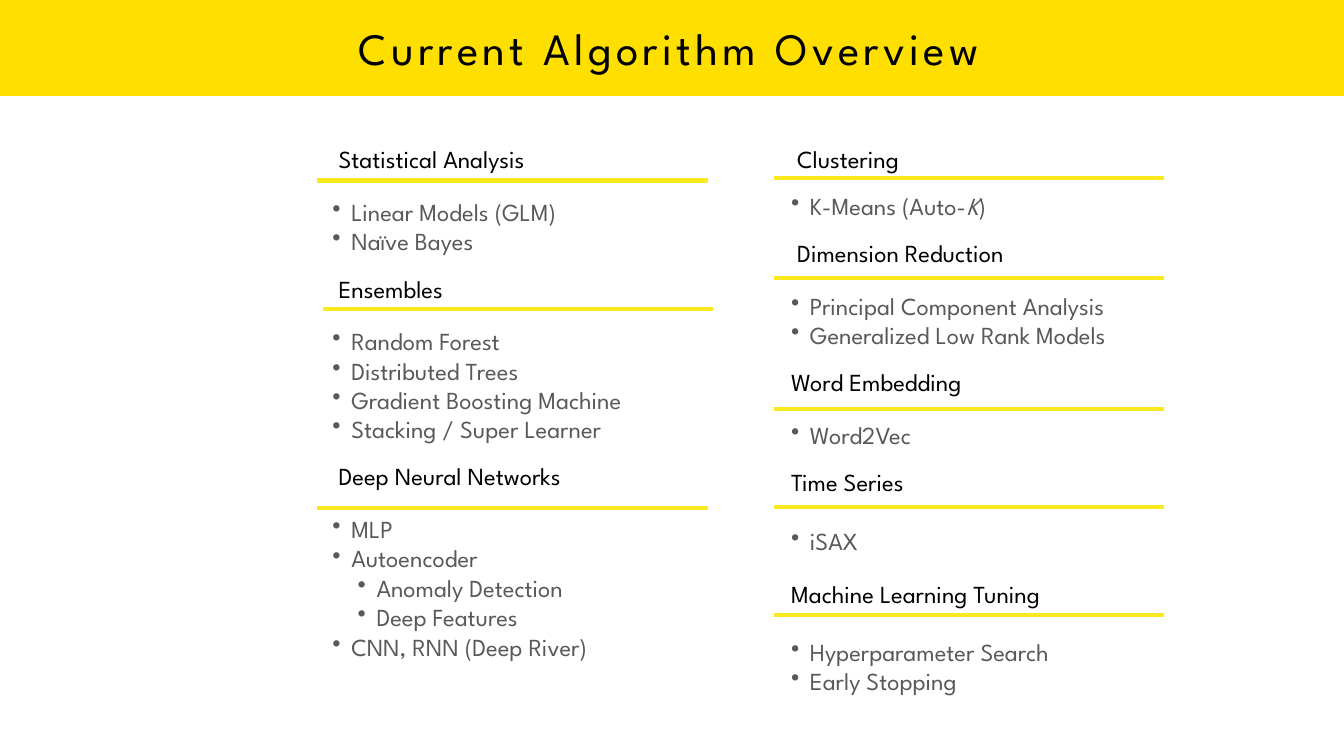
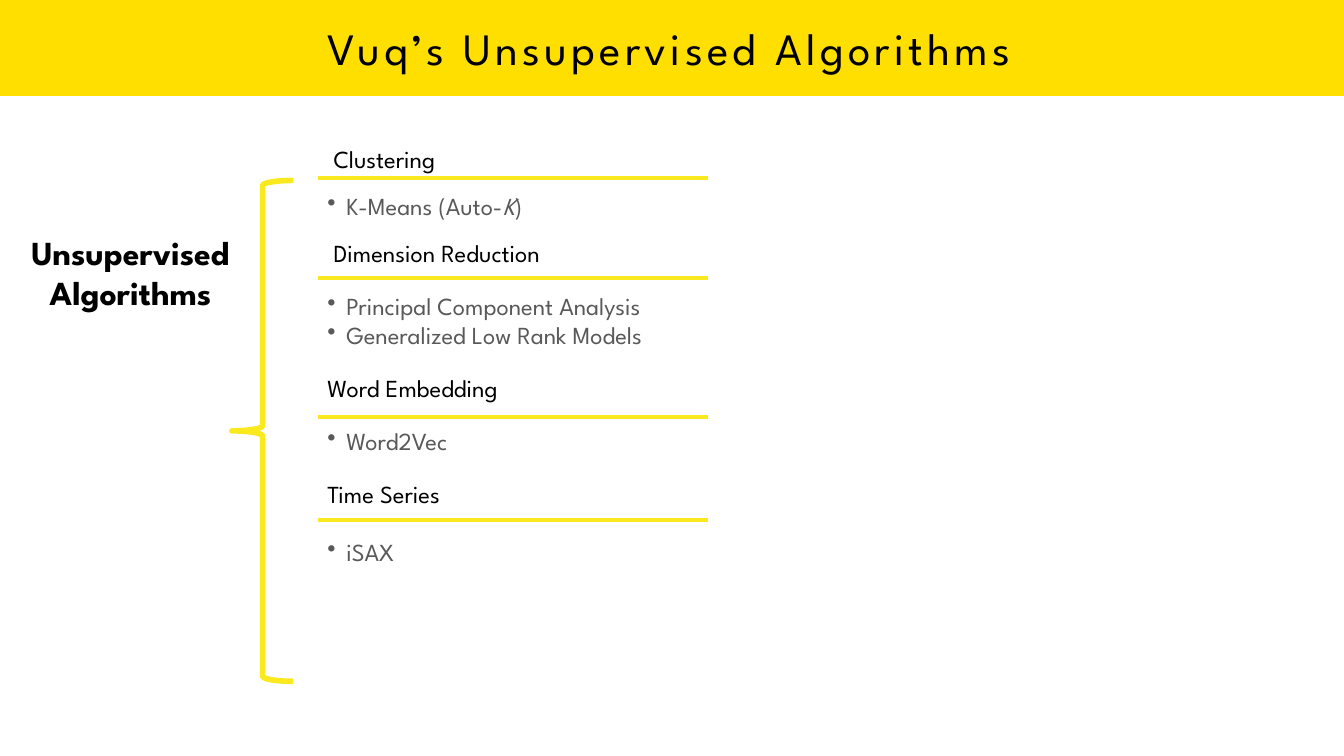
from typing import NamedTuple

from lxml import etree
from pptx import Presentation
from pptx.dml.color import RGBColor
from pptx.enum.shapes import MSO_CONNECTOR, MSO_SHAPE
from pptx.enum.text import MSO_ANCHOR, PP_ALIGN
from pptx.oxml.ns import qn
from pptx.util import Pt

RECTANGLE = MSO_SHAPE.RECTANGLE
LEFT_BRACE = MSO_SHAPE.LEFT_BRACE
STRAIGHT = MSO_CONNECTOR.STRAIGHT
MIDDLE = MSO_ANCHOR.MIDDLE
CENTER = PP_ALIGN.CENTER

FONT = "League Spartan"
BAND_YELLOW = "FFDF00"
RULE_YELLOW = "FBE91F"
BLACK = "000000"
GRAY = "595959"

SLIDE_WIDTH, SLIDE_HEIGHT = 960, 540
COLUMN_TOP, COLUMN_HEIGHT = 103.7, 459.4
RULE_WIDTH = 278.8
BODY_SIZE = 17.5
TIGHT = 0.8
WIDE_GAP = 20.9
GAP = 16.75
BULLET_INDENT = 13.5
LEVEL_STEP = 18
HEADING_INDENT = 4.4


class Item(NamedTuple):
    text: str
    level: int = 0
    spacing: float = 1.0


class Section(NamedTuple):
    heading: str
    rule_offset: float
    items: list
    before: float = GAP
    after: float = GAP
    indent: float = 0
    rule_shift: float = 0


STATISTICS = Section(
    "Statistical Analysis", 25.2,
    [Item("Linear Models (GLM)"), Item("Naïve Bayes")],
    before=0, indent=HEADING_INDENT)
ENSEMBLES = Section(
    "Ensembles", 116.8,
    [Item("Random Forest"), Item("Distributed Trees"),
     Item("Gradient Boosting Machine"), Item("Stacking / Super Learner")],
    indent=HEADING_INDENT, rule_shift=4)
NETWORKS = Section(
    "Deep Neural Networks", 259.2,
    [Item("MLP"), Item("Autoencoder"), Item("Anomaly Detection", 1),
     Item("Deep Features", 1), Item("CNN, RNN (Deep River)")],
    indent=HEADING_INDENT)
CLUSTERING = Section(
    "Clustering", 23.7, [Item("K-Means (Auto-*K*)", spacing=TIGHT)],
    before=0, indent=HEADING_INDENT)
REDUCTION = Section(
    "Dimension Reduction", 95,
    [Item("Principal Component Analysis"), Item("Generalized Low Rank Models")],
    indent=HEADING_INDENT)
EMBEDDING = Section("Word Embedding", 188.6, [Item("Word2Vec")])
TIME_SERIES = Section("Time Series", 258.5, [Item("iSAX")], after=WIDE_GAP)
TUNING = Section(
    "Machine Learning Tuning", 335.5,
    [Item("Hyperparameter Search"), Item("Early Stopping")],
    before=WIDE_GAP, after=WIDE_GAP)


def color(hex_string):
    return RGBColor.from_string(hex_string)


def style_font(paragraph, size, hex_string, bold=False):
    font = paragraph.font
    font.name, font.size, font.bold = FONT, Pt(size), bold
    font.color.rgb = color(hex_string)


def add_text_frame(slide, left, top, width, height):
    shape = slide.shapes.add_textbox(Pt(left), Pt(top), Pt(width), Pt(height))
    shape.text_frame.word_wrap = True
    return shape.text_frame


def add_paragraphs(frame, count):
    return [frame.paragraphs[0]] + [frame.add_paragraph() for _ in range(count - 1)]


def add_bullet(paragraph, level):
    properties = paragraph._p.get_or_add_pPr()
    properties.set("marL", str(Pt(BULLET_INDENT + level * LEVEL_STEP)))
    properties.set("indent", str(-Pt(BULLET_INDENT)))
    bullet_color = etree.SubElement(properties, qn("a:buClr"))
    etree.SubElement(bullet_color, qn("a:srgbClr"), val=GRAY)
    etree.SubElement(properties, qn("a:buChar"), char="•")


def write_heading(paragraph, section):
    paragraph.text = section.heading
    paragraph.line_spacing = TIGHT
    paragraph.space_before = Pt(section.before)
    paragraph.space_after = Pt(section.after)
    paragraph._p.get_or_add_pPr().set("marL", str(Pt(section.indent)))
    style_font(paragraph, BODY_SIZE, BLACK)


def write_item(paragraph, item):
    paragraph.level = item.level
    paragraph.line_spacing = item.spacing
    add_bullet(paragraph, item.level)
    style_font(paragraph, BODY_SIZE, GRAY)
    for index, part in enumerate(item.text.split("*")):
        run = paragraph.add_run()
        run.text = part
        if index % 2:
            run.font.italic = True


def add_rule(slide, left, top):
    rule = slide.shapes.add_connector(
        STRAIGHT, Pt(left), Pt(top), Pt(left + RULE_WIDTH), Pt(top))
    rule.line.color.rgb = color(RULE_YELLOW)
    rule.line.width = Pt(3)
    etree.SubElement(rule._element.spPr, qn("a:effectLst"))


def add_column(slide, left, width, rule_left, sections):
    frame = add_text_frame(slide, left, COLUMN_TOP, width, COLUMN_HEIGHT)
    paragraphs = iter(add_paragraphs(
        frame, sum(1 + len(section.items) for section in sections)))
    for section in sections:
        write_heading(next(paragraphs), section)
        for item in section.items:
            write_item(next(paragraphs), item)
        add_rule(slide, rule_left + section.rule_shift,
                 COLUMN_TOP + section.rule_offset)


def add_titled_slide(presentation, title):
    slide = presentation.slides.add_slide(presentation.slide_layouts[6])
    band = slide.shapes.add_shape(RECTANGLE, 0, 0, Pt(SLIDE_WIDTH), Pt(68.5))
    band.shadow.inherit = False
    band.fill.solid()
    band.fill.fore_color.rgb = color(BAND_YELLOW)
    band.line.fill.background()
    frame = add_text_frame(slide, 21.6, -0.7, 913, 69)
    frame.vertical_anchor = MIDDLE
    paragraph = frame.paragraphs[0]
    paragraph.text = title
    paragraph.alignment = CENTER
    style_font(paragraph, 32, BLACK)
    paragraph.runs[0]._r.get_or_add_rPr().set("spc", "300")
    return slide


def add_brace(slide, left, top, width, height):
    brace = slide.shapes.add_shape(
        LEFT_BRACE, Pt(left), Pt(top), Pt(width), Pt(height))
    brace.shadow.inherit = False
    brace.fill.background()
    brace.line.color.rgb = color(RULE_YELLOW)
    brace.line.width = Pt(4)


def add_group_label(slide, left, top, width, height, lines):
    frame = add_text_frame(slide, left, top, width, height)
    frame.vertical_anchor = MIDDLE
    frame.margin_left = frame.margin_right = Pt(2)
    frame.margin_top = frame.margin_bottom = Pt(2)
    for paragraph, line in zip(add_paragraphs(frame, len(lines)), lines):
        paragraph.text = line
        paragraph.alignment = CENTER
        style_font(paragraph, 24, BLACK, bold=True)


def build_overview(presentation):
    slide = add_titled_slide(presentation, "Current Algorithm Overview")
    add_column(slide, 230.4, 296, 226.6, [STATISTICS, ENSEMBLES, NETWORKS])
    add_column(slide, 558, 402, 552.8,
               [CLUSTERING, REDUCTION, EMBEDDING, TIME_SERIES, TUNING])


def build_unsupervised(presentation):
    slide = add_titled_slide(presentation, "Vuq’s Unsupervised Algorithms")
    add_brace(slide, 165.6, 128.9, 43.9, 357.8)
    add_group_label(slide, 0, 163.4, 186.5, 62, ["Unsupervised", "Algorithms"])
    add_column(slide, 226.8, 402, 226.8, [
        CLUSTERING,
        REDUCTION,
        EMBEDDING._replace(rule_offset=194.4, before=WIDE_GAP),
        TIME_SERIES._replace(rule_offset=267.8, before=WIDE_GAP),
    ])


presentation = Presentation()
presentation.slide_width = Pt(SLIDE_WIDTH)
presentation.slide_height = Pt(SLIDE_HEIGHT)
build_overview(presentation)
build_unsupervised(presentation)
presentation.save("out.pptx")
